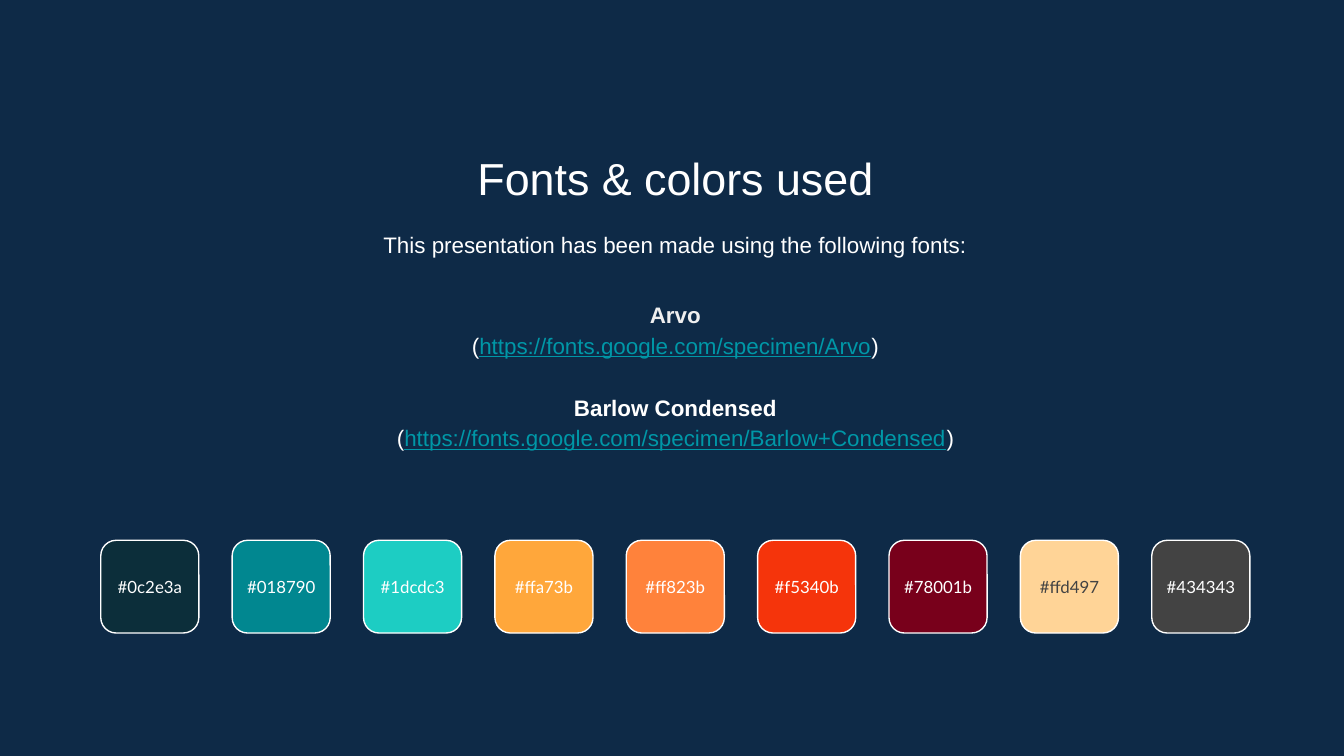
"""Build the fonts and colors slide."""
from dataclasses import dataclass

from pptx import Presentation
from pptx.dml.color import RGBColor
from pptx.enum.shapes import MSO_SHAPE
from pptx.enum.text import MSO_ANCHOR, PP_ALIGN
from pptx.util import Pt

ROUNDED = MSO_SHAPE.ROUNDED_RECTANGLE
TOP, MIDDLE = MSO_ANCHOR.TOP, MSO_ANCHOR.MIDDLE
CENTER = PP_ALIGN.CENTER
WHITE, PALE, TEAL, GRAY = "FFFFFF", "EFEFEF", "0097A7", "434343"
BACKGROUND = "0E2A47"
INSET = Pt(7.2)
TEXT_LEFT, TEXT_WIDTH = 84.24, 555.12
SWATCH_LEFT, SWATCH_TOP, SWATCH_PITCH = 54, 289.44, 70.38
SWATCH_WIDTH, SWATCH_HEIGHT = 52.56, 49.68
LABEL_TOP, LABEL_HEIGHT = 300.24, 28.8


@dataclass
class Run:
    """A stretch of text with one format."""

    text: str
    color: str = WHITE
    size: float = 12
    name: str = "Arial"
    bold: bool = False
    underline: bool = False


@dataclass
class Line:
    """A centred paragraph made of runs."""

    runs: list[Run]
    spacing: float = 1.15
    space_before: float = 0


@dataclass
class Box:
    """The place and vertical anchor of a text box."""

    left: float
    top: float
    width: float
    height: float
    anchor: MSO_ANCHOR = TOP


@dataclass
class Swatch:
    """A palette color and the color of its label."""

    code: str
    text_color: str = WHITE


SWATCHES = [
    Swatch("0c2e3a"), Swatch("018790"), Swatch("1dcdc3"),
    Swatch("ffa73b"), Swatch("ff823b"), Swatch("f5340b"),
    Swatch("78001b"), Swatch("ffd497", GRAY), Swatch("434343"),
]


def rgb(color: str) -> RGBColor:
    """Turn a hex string into a color."""
    return RGBColor.from_string(color.upper())


def set_values(target, values: dict) -> None:
    """Set each attribute named in a dict."""
    for name, value in values.items():
        setattr(target, name, value)


def add_text(shapes, box: Box, lines: list[Line]) -> None:
    """Add a text box holding centred lines."""
    shape = shapes.add_textbox(Pt(box.left), Pt(box.top), Pt(box.width), Pt(box.height))
    frame = shape.text_frame
    set_values(frame, {
        "word_wrap": True, "vertical_anchor": box.anchor,
        "margin_left": INSET, "margin_right": INSET,
        "margin_top": INSET, "margin_bottom": INSET,
    })
    for index, line in enumerate(lines):
        paragraph = frame.add_paragraph() if index else frame.paragraphs[0]
        set_values(paragraph, {"alignment": CENTER, "line_spacing": line.spacing})
        if line.space_before:
            paragraph.space_before = Pt(line.space_before)
        for item in line.runs:
            run = paragraph.add_run()
            run.text = item.text
            set_values(run.font, {
                "name": item.name, "size": Pt(item.size),
                "bold": item.bold, "underline": item.underline,
            })
            run.font.color.rgb = rgb(item.color)


def font_lines(name: str, color: str = WHITE, space_before: float = 0) -> list[Line]:
    """Give the name line and the address line of a font."""
    address = f"https://fonts.google.com/specimen/{name.replace(' ', '+')}"
    return [
        Line([Run(name, color, bold=True)], space_before=space_before),
        Line([Run("("), Run(address, TEAL, underline=True), Run(")")]),
    ]


def add_swatch(slide, swatch: Swatch, left: float) -> None:
    """Add a grouped rounded square and its color code."""
    shapes = slide.shapes.add_group_shape().shapes
    shape = shapes.add_shape(
        ROUNDED, Pt(left), Pt(SWATCH_TOP), Pt(SWATCH_WIDTH), Pt(SWATCH_HEIGHT)
    )
    shape.shadow.inherit = False
    shape.fill.solid()
    shape.fill.fore_color.rgb = rgb(swatch.code)
    shape.line.color.rgb = rgb(WHITE)
    shape.line.width = Pt(0.75)
    label = Run(f"#{swatch.code}", swatch.text_color, 9, "Lato")
    box = Box(left, LABEL_TOP, SWATCH_WIDTH, LABEL_HEIGHT, MIDDLE)
    add_text(shapes, box, [Line([label], 1)])


def main() -> None:
    """Build and save the presentation."""
    presentation = Presentation()
    set_values(presentation, {"slide_width": Pt(720), "slide_height": Pt(405)})
    slide = presentation.slides.add_slide(presentation.slide_layouts[6])
    slide.background.fill.solid()
    slide.background.fill.fore_color.rgb = rgb(BACKGROUND)
    intro = "This presentation has been made using the following fonts:"
    fonts = font_lines("Arvo", PALE) + font_lines("Barlow Condensed", space_before=16.5)
    add_text(slide.shapes, Box(TEXT_LEFT, 73.44, TEXT_WIDTH, 38.16),
             [Line([Run("Fonts & colors used", size=24)], 1)])
    add_text(slide.shapes, Box(TEXT_LEFT, 114.48, TEXT_WIDTH, 34.56), [Line([Run(intro)])])
    add_text(slide.shapes, Box(TEXT_LEFT, 151.2, TEXT_WIDTH, 98.64, MIDDLE), fonts)
    for index, swatch in enumerate(SWATCHES):
        add_swatch(slide, swatch, SWATCH_LEFT + index * SWATCH_PITCH)
    presentation.save("out.pptx")


if __name__ == "__main__":
    main()
